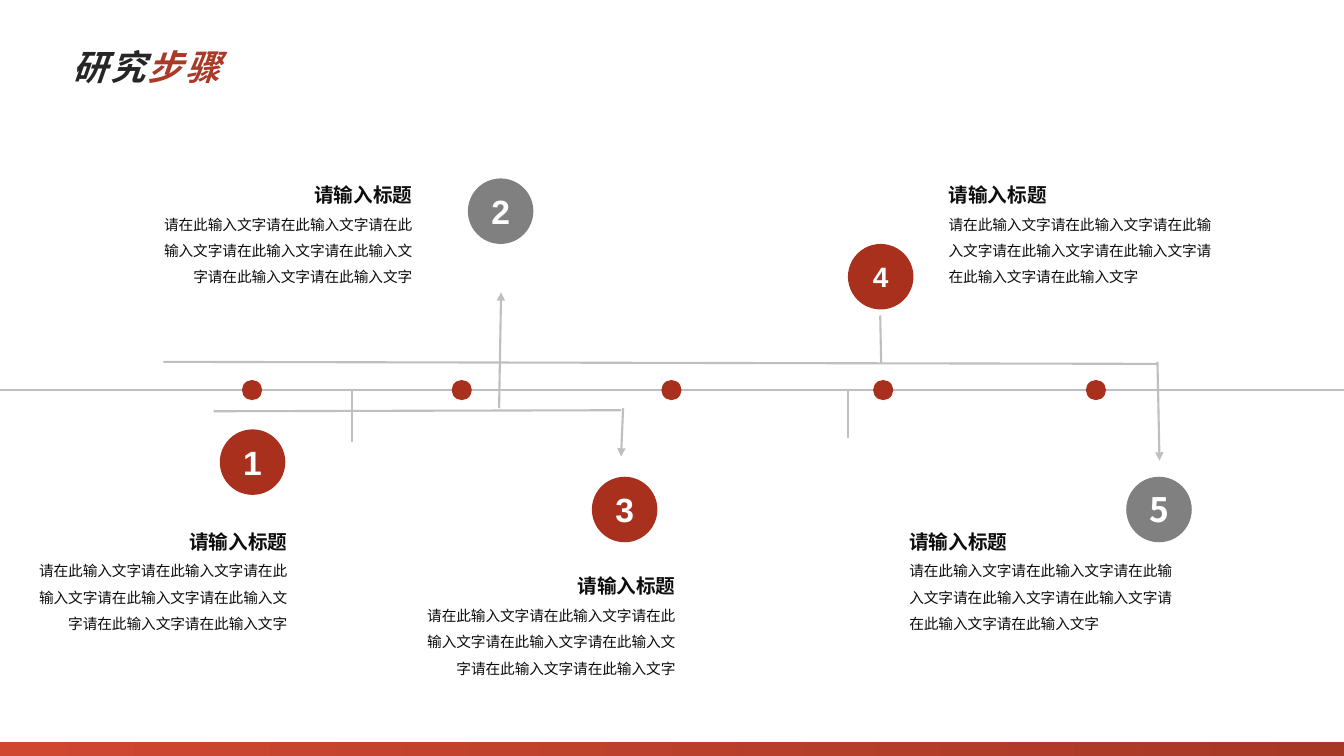
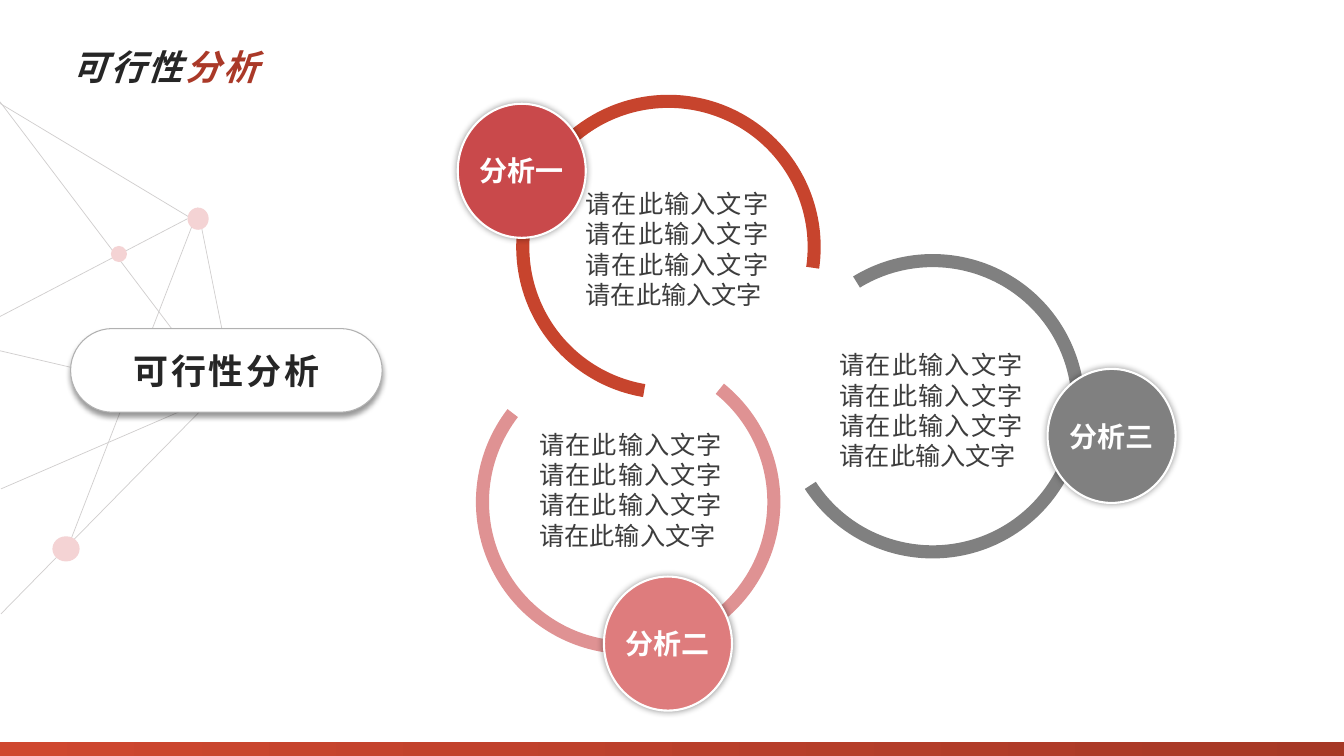
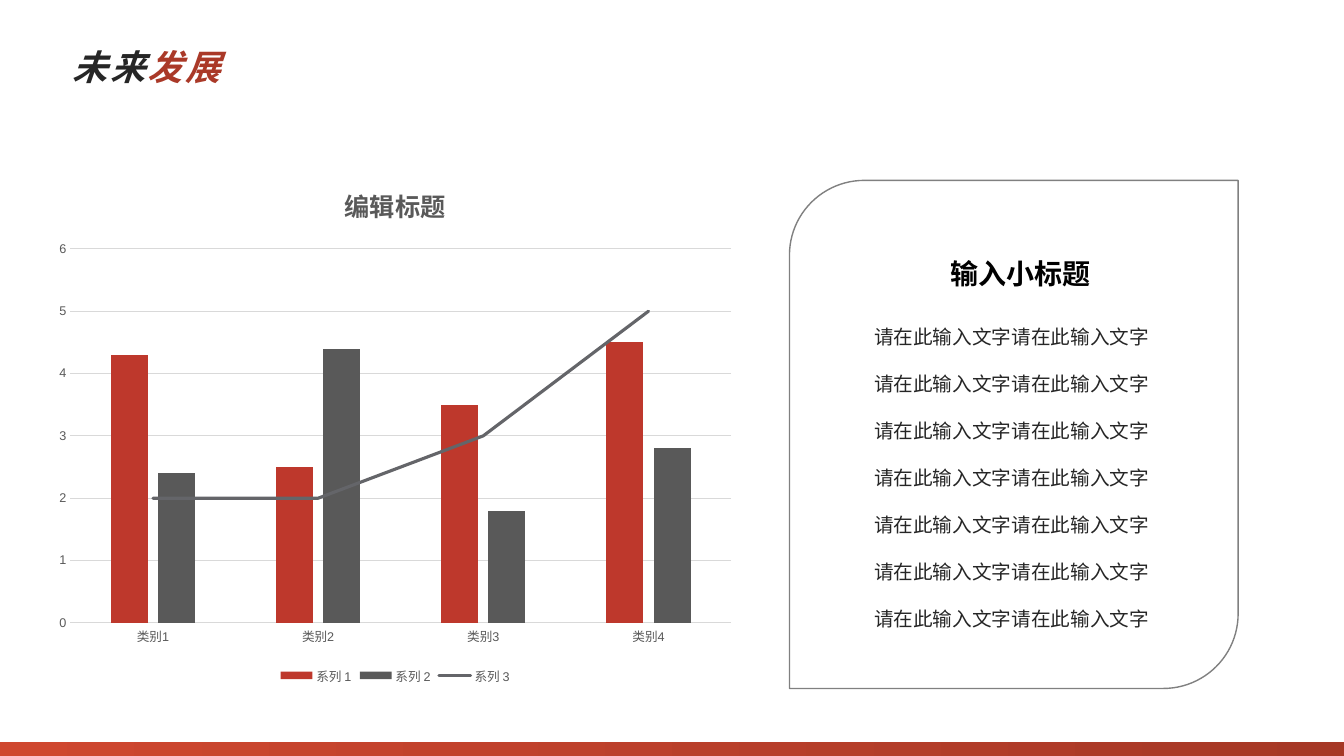
from dataclasses import dataclass

from lxml import etree
from pptx import Presentation
from pptx.chart.data import CategoryChartData
from pptx.dml.color import RGBColor
from pptx.enum.chart import XL_CHART_TYPE, XL_LEGEND_POSITION, XL_TICK_MARK
from pptx.enum.shapes import MSO_CONNECTOR, MSO_SHAPE
from pptx.enum.text import MSO_ANCHOR, MSO_AUTO_SIZE, PP_ALIGN
from pptx.oxml.ns import qn
from pptx.util import Inches, Pt


@dataclass(frozen=True)
class Theme:
    cjk: str = "Noto Sans CJK SC"
    latin: str = "Arial"
    ink: str = "262626"
    heading: str = "0D0D0D"
    body: str = "3D3D3D"
    accent: str = "AA3928"
    red: str = "A9301D"
    gray: str = "808080"
    rule: str = "BFBFBF"
    web: str = "D0CECE"
    node: str = "F4D3D4"
    white: str = "FFFFFF"
    chart_text: str = "595959"
    grid: str = "D9D9D9"
    band: tuple = ("CF472F", "A63826")
    title_size: float = 25
    label_size: float = 20
    text_size: float = 18
    heading_size: float = 14
    small_size: float = 10.5
    axis_size: float = 9
    leading: float = 1.2


T = Theme()
SLIDE_W, SLIDE_H = 13.33, 7.5
PROMPT = "请在此输入文字"

# Slide 1: number, badge left and top, fill, size, font
BADGES = [
    ("1", 2.18, 4.26, T.red, 24, T.latin),
    ("2", 4.64, 1.77, T.gray, 24, T.latin),
    ("3", 5.87, 4.73, T.red, 24, T.latin),
    ("4", 8.41, 2.42, T.red, 20, T.latin),
    ("5", 11.17, 4.73, T.gray, 24, T.cjk),
]
STEP_NOTES = [  # left, top, alignment
    (0.2, 5.09, PP_ALIGN.RIGHT),
    (1.44, 1.65, PP_ALIGN.RIGHT),
    (4.05, 5.53, PP_ALIGN.RIGHT),
    (9.31, 1.65, PP_ALIGN.LEFT),
    (8.92, 5.09, PP_ALIGN.LEFT),
]
AXIS_Y = 3.87
MILESTONES = [2.5, 4.58, 6.66, 8.76, 10.87]
BRANCHES = [
    (-0.02, AXIS_Y, 13.35, AXIS_Y),
    (8.41, 4.35, 8.41, AXIS_Y),
    (3.49, 4.39, 3.49, AXIS_Y),
    (1.62, 3.59, 11.48, 3.61),
    (8.74, 3.61, 8.73, 3.13),
    (6.16, 4.07, 2.12, 4.08),
]
ARROWS = [
    (6.18, 4.05, 6.16, 4.53),
    (11.48, 3.59, 11.5, 4.57),
    (4.95, 4.05, 4.97, 2.9),
]

# Slide 2
WEB_LINES = [
    (2.16, 3.9, 0.01, 6.09), (2.27, 4.01, 0, 3.48),
    (2.27, 4.01, 0, 1.01), (1.86, 2.17, 0, 3.14),
    (2.33, 3.91, 1.96, 2.06), (1.87, 2.15, -0.01, 1.02),
    (2.23, 3.89, 0.01, 4.85), (1.94, 2.15, 0.65, 5.49),
]
WEB_NODES = [
    (1.86, 2.06, 0.21, 0.22), (0.52, 5.32, 0.27, 0.25), (1.1, 2.44, 0.16, 0.16),
]
RING_SIZE, RING_WIDTH, RING_SWEEP = 3.02, 0.13, 268.6
ANALYSES = [
    dict(name="分析一", ring="C7442D", center=(6.63, 2.45), start=99.6,
         badge="C9494B", badge_at=(4.54, 1.03), text_at=(5.71, 1.82)),
    dict(name="分析二", ring="DF9293", center=(6.23, 4.98), start=309,
         badge="DE7C7D", badge_at=(5.99, 5.72), text_at=(5.25, 4.21)),
    dict(name="分析三", ring=T.gray, center=(9.25, 4.03), start=238.5,
         badge=T.gray, badge_at=(10.39, 3.66), text_at=(8.23, 3.42)),
]

# Slide 3: name, colour, values; the last series is drawn as a line
CATEGORIES = ["类别1", "类别2", "类别3", "类别4"]
SERIES = [
    ("系列 1", "BE382C", (4.3, 2.5, 3.5, 4.5)),
    ("系列 2", "595959", (2.4, 4.4, 1.8, 2.8)),
    ("系列 3", "646569", (2, 2, 3, 5)),
]


def rgb(color):
    return RGBColor.from_string(color)


def inches(*lengths):
    return [Inches(length) for length in lengths]


def style_run(run, size, color, bold=False, italic=False, face=T.cjk, spacing=0):
    font = run.font
    font.size, font.bold, font.italic = Pt(size), bold, italic
    font.color.rgb = rgb(color)
    font.name = face
    props = run._r.get_or_add_rPr()
    etree.SubElement(props, qn("a:ea")).set("typeface", face)
    if spacing:
        props.set("spc", str(spacing * 100))


def set_lines(paragraph, size, lines=1.0):
    """Fix the line pitch so that it does not depend on font metrics."""
    paragraph.line_spacing = Pt(round(size * T.leading * lines, 2))


def add_text(shapes, at, paragraphs, size, color, lines=1.0, align=None, bold=False):
    box = shapes.add_textbox(*inches(*at))
    frame = box.text_frame
    frame.word_wrap = True
    frame.auto_size = MSO_AUTO_SIZE.SHAPE_TO_FIT_TEXT
    frame.text = "\n".join(paragraphs)
    for paragraph in frame.paragraphs:
        paragraph.alignment = align
        set_lines(paragraph, size, lines)
        for run in paragraph.runs:
            style_run(run, size, color, bold)
    return frame


def add_shape(shapes, preset, at, fill=None, line=None, line_width=1.0):
    shape = shapes.add_shape(preset, *inches(*at))
    shape.shadow.inherit = False
    if fill:
        shape.fill.solid()
        shape.fill.fore_color.rgb = rgb(fill)
    else:
        shape.fill.background()
    if line:
        shape.line.color.rgb = rgb(line)
        shape.line.width = Pt(line_width)
    else:
        shape.line.fill.background()
    return shape


def add_shadow(shape, blur, distance=0, degrees=0):
    effects = shape._element.spPr.find(qn("a:effectLst"))
    shadow = etree.SubElement(
        effects, qn("a:outerShdw"), blurRad=str(Pt(blur)), dist=str(Pt(distance)),
        dir=str(degrees * 60000), algn="ctr", rotWithShape="0")
    color = etree.SubElement(shadow, qn("a:srgbClr"), val="000000")
    etree.SubElement(color, qn("a:alpha"), val="40000")


def set_label(shape, label, size, color, **style):
    """Centre one bold line of text in a shape."""
    frame = shape.text_frame
    frame.margin_left = frame.margin_right = 0
    frame.margin_top = frame.margin_bottom = 0
    frame.vertical_anchor = MSO_ANCHOR.MIDDLE
    paragraph = frame.paragraphs[0]
    paragraph.text = label
    paragraph.alignment = PP_ALIGN.CENTER
    set_lines(paragraph, size)
    style_run(paragraph.runs[0], size, color, bold=True, **style)


def add_line(shapes, ends, color, width, arrow=False):
    line = shapes.add_connector(MSO_CONNECTOR.STRAIGHT, *inches(*ends))
    line.line.color.rgb = rgb(color)
    line.line.width = Pt(width)
    if arrow:
        etree.SubElement(line.line._get_or_add_ln(), qn("a:tailEnd"), type="triangle")
    etree.SubElement(line._element.spPr, qn("a:effectLst"))


def start_slide(deck, dark, red):
    """Add a blank slide with the two-colour title and the bottom band."""
    shapes = deck.slides.add_slide(deck.slide_layouts[6]).shapes
    frame = add_text(shapes, (0.62, 0.4, 3.32, 0.52), [""], T.title_size, T.ink)
    for part, color in ((dark, T.ink), (red, T.accent)):
        run = frame.paragraphs[0].add_run()
        run.text = part
        style_run(run, T.title_size, color, bold=True, italic=True, spacing=2)
    band = add_shape(shapes, MSO_SHAPE.RECTANGLE, (0, SLIDE_H - 0.14, SLIDE_W, 0.14))
    band.fill.gradient()
    band.fill.gradient_angle = 0
    for stop, color, position in zip(band.fill.gradient_stops, T.band, (0, 1)):
        stop.color.rgb = rgb(color)
        stop.position = position
    return shapes


def build_steps(deck):
    shapes = start_slide(deck, "研究", "步骤")
    for ends in BRANCHES:
        add_line(shapes, ends, T.rule, 1.5)
    for ends in ARROWS:
        add_line(shapes, ends, T.rule, 1.5, arrow=True)
    dot = 0.2
    for x in MILESTONES:
        add_shape(shapes, MSO_SHAPE.OVAL,
                  (x - dot / 2, AXIS_Y - dot / 2, dot, dot), T.red)
    for number, left, top, fill, size, face in BADGES:
        badge = add_shape(shapes, MSO_SHAPE.OVAL, (left, top, 0.65, 0.65), fill)
        set_label(badge, number, size, T.white, face=face)
    for left, top, align in STEP_NOTES:
        frame = add_text(shapes, (left, top, 2.89, 1.25),
                         ["请输入标题", PROMPT * 7],
                         T.small_size, T.heading, 1.5, align)
        heading = frame.paragraphs[0]
        set_lines(heading, T.heading_size, 1.5)
        heading.runs[0].font.size = Pt(T.heading_size)
        heading.runs[0].font.bold = True
        if align == PP_ALIGN.RIGHT:
            heading._p.get_or_add_pPr().set("marR", str(Inches(0.14)))


def build_feasibility(deck):
    shapes = start_slide(deck, "可行性", "分析")
    web = shapes.add_group_shape().shapes
    for ends in WEB_LINES:
        add_line(web, ends, T.web, 0.5)
    for at in WEB_NODES:
        add_shape(web, MSO_SHAPE.OVAL, at, T.node)

    topic = add_shape(shapes, MSO_SHAPE.ROUNDED_RECTANGLE,
                      (0.7, 3.26, 3.09, 0.83), T.white, "B1B1B1", 0.75)
    topic.adjustments[0] = 0.5
    add_shadow(topic, 4, 3, 90)
    set_label(topic, "可行性分析", T.title_size, T.ink, spacing=2)

    for item in reversed(ANALYSES):
        x, y = item["center"]
        ring = add_shape(shapes, MSO_SHAPE.BLOCK_ARC,
                         (x - RING_SIZE / 2, y - RING_SIZE / 2, RING_SIZE, RING_SIZE),
                         item["ring"])
        # Angles are kept in 60000ths of a degree, adjustments in 100000ths
        end = (item["start"] + RING_SWEEP) % 360
        ring.adjustments[0] = item["start"] * 0.6
        ring.adjustments[1] = end * 0.6
        ring.adjustments[2] = RING_WIDTH / RING_SIZE
    for item in ANALYSES:
        badge = add_shape(shapes, MSO_SHAPE.OVAL, (*item["badge_at"], 1.27, 1.33),
                          item["badge"], T.white, 1.5)
        add_shadow(badge, 5)
        set_label(badge, item["name"], T.label_size, T.white)
        add_text(shapes, (*item["text_at"], 2.01, 1.31), [PROMPT * 4],
                 T.text_size, T.body, align=PP_ALIGN.JUSTIFY)


def move_last_series_to_line(chart):
    bars = chart._chartSpace.find(".//" + qn("c:barChart"))
    series = bars.findall(qn("c:ser"))[-1]
    for tag in ("c:invertIfNegative", "c:spPr"):
        for old in series.findall(qn(tag)):
            series.remove(old)
    lines = etree.Element(qn("c:lineChart"))
    etree.SubElement(lines, qn("c:grouping"), val="standard")
    etree.SubElement(lines, qn("c:varyColors"), val="0")
    lines.append(series)
    etree.SubElement(lines, qn("c:marker"), val="1")
    for axis in bars.findall(qn("c:axId")):
        etree.SubElement(lines, qn("c:axId"), val=axis.get("val"))
    bars.addnext(lines)


def style_chart_font(font, size):
    font.name, font.size = T.latin, Pt(size)
    font.color.rgb = rgb(T.chart_text)


def add_combined_chart(shapes):
    data = CategoryChartData()
    data.categories = CATEGORIES
    for name, _, values in SERIES:
        data.add_series(name, values)
    chart = shapes.add_chart(XL_CHART_TYPE.COLUMN_CLUSTERED,
                             *inches(0.45, 1.62, 6.94, 5.21), data).chart
    style_chart_font(chart.font, T.axis_size)
    move_last_series_to_line(chart)

    columns, trend = chart.plots
    columns.gap_width, columns.overlap = 219, -27
    columns.vary_by_categories = False
    for series, (_, color, _) in zip(columns.series, SERIES):
        series.format.fill.solid()
        series.format.fill.fore_color.rgb = rgb(color)
    line = trend.series[0]
    line.smooth = False
    line.format.line.color.rgb = rgb(SERIES[-1][1])
    line.format.line.width = Pt(2.25)
    line.format.line._get_or_add_ln().set("cap", "rnd")
    marker = line._element.get_or_add_marker()
    etree.SubElement(marker, qn("c:symbol"), val="none")

    for axis in (chart.category_axis, chart.value_axis):
        axis.major_tick_mark = axis.minor_tick_mark = XL_TICK_MARK.NONE
        style_chart_font(axis.tick_labels.font, T.axis_size)
    chart.value_axis.format.line.fill.background()
    chart.value_axis.has_major_gridlines = True
    for rule in (chart.category_axis.format.line,
                 chart.value_axis.major_gridlines.format.line):
        rule.color.rgb = rgb(T.grid)
        rule.width = Pt(0.75)

    chart.has_legend = True
    chart.legend.position = XL_LEGEND_POSITION.BOTTOM
    chart.legend.include_in_layout = False
    style_chart_font(chart.legend.font, T.axis_size)
    chart.has_title = True
    chart.chart_title.include_in_layout = False
    heading = chart.chart_title.text_frame.paragraphs[0]
    heading.text = "编辑标题"
    style_run(heading.runs[0], T.text_size, T.chart_text, bold=True)


def build_outlook(deck):
    shapes = start_slide(deck, "未来", "发展")
    add_combined_chart(shapes)
    add_shape(shapes, MSO_SHAPE.ROUND_2_DIAG_RECTANGLE,
              (7.83, 1.79, 4.45, 5.04), line=T.gray)
    add_text(shapes, (9.33, 2.5, 1.88, 0.44), ["输入小标题"],
             T.label_size, "000000", bold=True)
    add_text(shapes, (8.57, 2.94, 3.41, 3.4), [PROMPT * 2] * 7,
             T.heading_size, T.ink, 2)


def main():
    deck = Presentation()
    deck.slide_width, deck.slide_height = inches(SLIDE_W, SLIDE_H)
    build_steps(deck)
    build_feasibility(deck)
    build_outlook(deck)
    deck.save("out.pptx")


if __name__ == "__main__":
    main()
